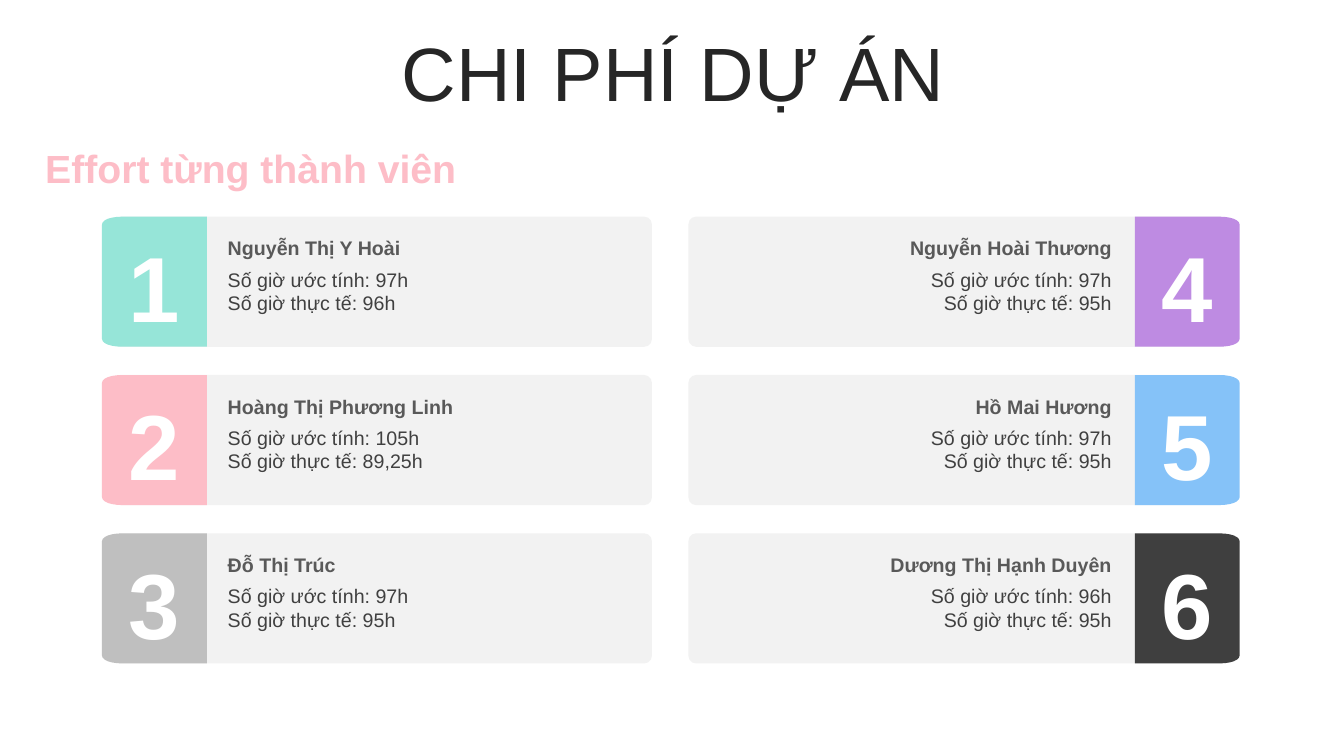
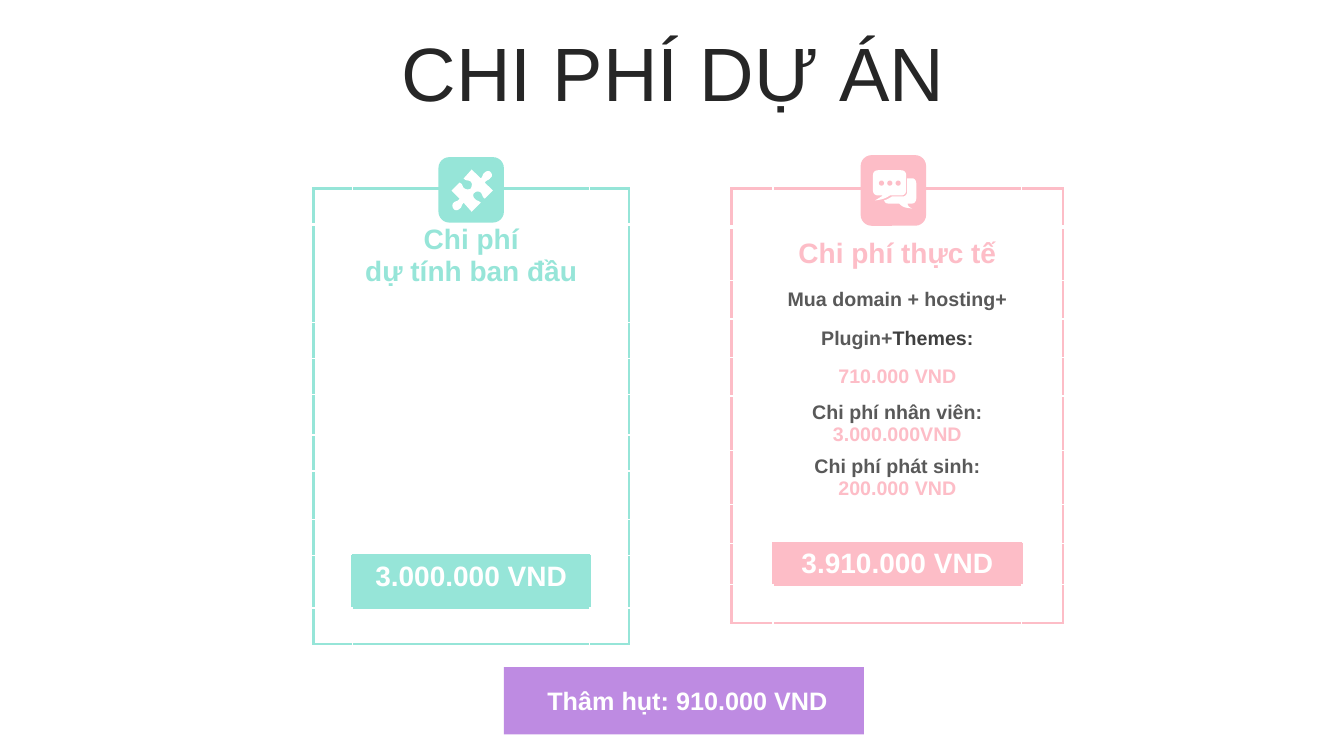
from dataclasses import dataclass

from lxml import etree
from pptx import Presentation
from pptx import util as u
from pptx.dml.color import RGBColor
from pptx.enum import shapes, text
from pptx.oxml.ns import qn
from pptx.shapes.autoshape import Shape
from pptx.slide import Slide
from pptx.table import _Cell
from pptx.text.text import TextFrame

# Shared style
FONT = "Arial"
WHITE, PANEL = "FFFFFF", "F2F2F2"
INK, GREY, DARK = "262626", "595959", "404040"
MINT, PINK, SILVER = "96E5D8", "FDBDC7", "BFBFBF"
PURPLE, BLUE, BLACK = "BE8BE2", "85C2F8", "3F3F3F"
LEFT, CENTER, RIGHT = text.PP_ALIGN.LEFT, text.PP_ALIGN.CENTER, text.PP_ALIGN.RIGHT
MIDDLE, TOP = text.MSO_ANCHOR.MIDDLE, text.MSO_ANCHOR.TOP
KIND = shapes.MSO_SHAPE

# Outlines, in hundredths of an inch from their top left corner
OUTLINE_UNIT = u.Cm(2.54) / 100
BADGE_WIDTH = 104
BADGE = "M 104 0 L 20 0 C 9 0 0 3 0 8 L 0 121 C 0 126 9 129 20 129 L 104 129"
PUZZLE = (
    "M 39 3 C 40 4 41 7 39 8 C 37 11 35 10 33 13 L 41 21 L 33 29 "
    "C 30 27 31 25 29 23 C 27 21 24 22 23 23 C 21 24 21 27 23 29 "
    "C 26 32 26 30 29 33 L 20 42 L 12 33 C 9 36 11 37 8 39 "
    "C 6 41 3 41 2 39 C 1 38 0 35 2 33 C 4 31 6 32 8 29 L 0 21 L 8 13 "
    "C 12 15 10 17 13 19 C 15 20 17 20 19 19 C 20 17 21 14 19 12 "
    "C 16 10 15 12 12 9 L 20 0 L 29 9 C 32 6 30 5 33 3 C 35 1 38 1 39 3"
)
BUBBLES = (
    "M 5 0 L 28 0 C 31 0 33 2 33 5 L 33 20 C 33 23 31 25 28 25 L 17 25 "
    "C 12 28 10 29 2 30 C 7 27 7 27 10 25 L 5 25 C 2 25 0 23 0 20 L 0 5 "
    "C 0 2 2 0 5 0 "
    "M 34 8 L 39 8 C 41 8 43 10 43 13 L 43 28 C 43 31 41 33 39 33 L 34 33 "
    "C 35 34 34 36 39 38 C 31 37 30 37 26 33 L 15 33 C 13 33 12 32 11 30 "
    "C 14 29 16 28 19 26 L 30 26 C 32 26 34 24 34 21"
)


@dataclass
class Line:
    text: str
    size: float
    color: str
    bold: bool = True
    tail: str = ""
    tail_color: str = ""
    after: float = 0


@dataclass
class Member:
    name: str
    planned: str
    actual: str
    color: str


@dataclass
class CostTable:
    left: float
    columns: list[float]
    rows: list[float]
    color: str
    lines: dict[int, list[Line]]
    heading_anchor: text.MSO_ANCHOR
    amount_bottom: float


MEMBERS = [
    Member("Nguyễn Thị Y Hoài", "97h", "96h", MINT),
    Member("Hoàng Thị Phương Linh", "105h", "89,25h", PINK),
    Member("Đỗ Thị Trúc", "97h", "95h", SILVER),
    Member("Nguyễn Hoài Thương", "97h", "95h", PURPLE),
    Member("Hồ Mai Hương", "97h", "95h", BLUE),
    Member("Dương Thị Hạnh Duyên", "96h", "95h", BLACK),
]

AMOUNT_ROW = 8
PLANNED_COST = CostTable(
    7.9, [0.99, 5.97, 0.99],
    [0.91, 2.46, 0.91, 0.91, 1.02, 0.91, 1.22, 0.91, 1.32, 0.91], MINT,
    {1: [Line("Chi phí", 20, MINT), Line("dự tính ban đầu", 20, MINT)],
     AMOUNT_ROW: [Line("3.000.000 VND", 20, WHITE)]},
    TOP, 0.25,
)
ACTUAL_COST = CostTable(
    18.44, [1.04, 6.27, 1.04],
    [0.97, 1.35, 0.97, 0.97, 0.97, 1.37, 1.37, 0.97, 1.04, 0.97], PINK,
    {1: [Line("Chi phí thực tế", 20, PINK)],
     2: [Line("Mua domain + hosting+", 14, GREY)],
     3: [Line("Plugin+", 14, GREY, tail="Themes:", tail_color=DARK)],
     4: [Line("710.000 VND", 14, PINK)],
     5: [Line("Chi phí nhân viên: ", 14, GREY, tail="3.000.000VND", tail_color=PINK)],
     6: [Line("Chi phí phát sinh: ", 14, GREY, tail="200.000 VND", tail_color=PINK)],
     AMOUNT_ROW: [Line("3.910.000 VND", 20, WHITE)]},
    MIDDLE, 0,
)


def rgb(value: str) -> RGBColor:
    return RGBColor.from_string(value)


def write(frame: TextFrame, lines: list[Line], align: text.PP_ALIGN) -> None:
    """Fill a text frame with one paragraph per line."""
    frame.word_wrap = True
    for index, line in enumerate(lines):
        para = frame.add_paragraph() if index else frame.paragraphs[0]
        para.alignment = align
        if line.after:
            para.space_after = u.Pt(line.after)
        para.font.name, para.font.size, para.font.bold = FONT, u.Pt(line.size), line.bold
        span = para.add_run()
        span.text = line.text
        if line.tail:
            span.font.color.rgb = rgb(line.color)
            span = para.add_run()
            span.text = line.tail
            span.font.color.rgb = rgb(line.tail_color)
        else:
            para.font.color.rgb = rgb(line.color)


def paint(shape: Shape, color: str) -> Shape:
    shape.shadow.inherit = False
    shape.fill.solid()
    shape.fill.fore_color.rgb = rgb(color)
    shape.line.fill.background()
    return shape


def add_block(page: Slide, kind: shapes.MSO_SHAPE, left: float, top: float,
              width: float, height: float, color: str) -> Shape:
    return paint(page.shapes.add_shape(
        kind, u.Cm(left), u.Cm(top), u.Cm(width), u.Cm(height)), color)


def add_box(page: Slide, left: float, top: float, width: float, height: float,
            lines: list[Line], align: text.PP_ALIGN = LEFT) -> None:
    box = page.shapes.add_textbox(u.Cm(left), u.Cm(top), u.Cm(width), u.Cm(height))
    write(box.text_frame, lines, align)


def trace(outline: str, steps: int = 6) -> list[list[tuple[float, float]]]:
    """Turn an outline of M, L and C commands into lists of points."""
    contours: list[list[tuple[float, float]]] = []
    tokens = iter(outline.split())
    for command in tokens:
        count = 3 if command == "C" else 1
        points = [(float(next(tokens)), float(next(tokens))) for _ in range(count)]
        if command == "M":
            contours.append(points)
        elif command == "L":
            contours[-1] += points
        else:
            curve = [contours[-1][-1], *points]
            for step in range(1, steps + 1):
                t = step / steps
                weights = ((1 - t) ** 3, 3 * t * (1 - t) ** 2, 3 * t * t * (1 - t), t ** 3)
                contours[-1].append((sum(w * p[0] for w, p in zip(weights, curve)),
                                     sum(w * p[1] for w, p in zip(weights, curve))))
    return contours


def add_outline(page: Slide, outline: str, left: float, top: float, color: str,
                mirror_width: float = 0) -> Shape:
    contours = [
        [(round(u.Cm(left) + OUTLINE_UNIT * (mirror_width - x if mirror_width else x)),
          round(u.Cm(top) + OUTLINE_UNIT * y)) for x, y in contour]
        for contour in trace(outline)
    ]
    builder = page.shapes.build_freeform(*contours[0][0])
    for index, contour in enumerate(contours):
        if index:
            builder.move_to(*contour[0])
        builder.add_line_segments(contour[1:], close=True)
    return paint(builder.convert_to_shape(), color)


def add_page(deck: Presentation) -> Slide:
    """Add a slide with the shared title."""
    page = deck.slides.add_slide(deck.slide_layouts[5])
    title = page.shapes.title
    title.left, title.top = u.Cm(0.89), u.Cm(0.94)
    title.width, title.height = u.Cm(32.16), u.Cm(2)
    write(title.text_frame, [Line("CHI PHÍ DỰ ÁN", 54, INK, False)], CENTER)
    title.text_frame.paragraphs[0].line_spacing = 0.9
    title.text_frame.auto_size = text.MSO_AUTO_SIZE.NONE
    title.text_frame.vertical_anchor = MIDDLE
    return page


def add_member(page: Slide, index: int, member: Member) -> None:
    column, row = divmod(index, 3)
    top = 5.46 + row * 3.99
    panel_left, badge_left, text_left = ((2.84, 2.57, 5.49), (17.35, 28.6, 19.25))[column]
    panel = add_block(page, KIND.ROUNDED_RECTANGLE, panel_left, top, 13.59, 3.28, PANEL)
    panel.adjustments[0] = 0.06
    badge = add_outline(page, BADGE, badge_left, top, member.color, BADGE_WIDTH * column)
    frame = badge.text_frame
    frame.margin_left = frame.margin_right = frame.margin_bottom = 0
    frame.margin_top = u.Cm(0.2)
    frame.vertical_anchor = MIDDLE
    write(frame, [Line(str(index + 1), 66, WHITE)], CENTER)
    add_box(page, text_left, top + 0.37, 9.02, 2.2, [
        Line(member.name, 14, GREY, after=5.5),
        Line(f"Số giờ ước tính: {member.planned}", 14, DARK, False),
        Line(f"Số giờ thực tế: {member.actual}", 14, DARK, False),
    ], RIGHT if column else LEFT)


def set_border(cell: _Cell, side: str, color: str, width: float) -> None:
    edge = etree.SubElement(cell._tc.get_or_add_tcPr(), qn(f"a:ln{side}"),
                            w=str(u.Pt(width)))
    fill = etree.SubElement(edge, qn("a:solidFill"))
    etree.SubElement(fill, qn("a:srgbClr"), val=color)


def add_cost_table(page: Slide, cost: CostTable) -> None:
    """Draw a framed column with a filled amount cell near its foot."""
    last = len(cost.rows) - 1
    table = page.shapes.add_table(
        len(cost.rows), 3, u.Cm(cost.left), u.Cm(4.75),
        u.Cm(sum(cost.columns)), u.Cm(sum(cost.rows))).table
    table.first_row = table.horz_banding = False
    for column, width in zip(table.columns, cost.columns):
        column.width = u.Cm(width)
    for r, height in enumerate(cost.rows):
        table.rows[r].height = u.Cm(height)
        for c in range(3):
            cell = table.cell(r, c)
            framed = {
                "L": c == 0 or r == AMOUNT_ROW,
                "R": c == 2 or r == AMOUNT_ROW,
                "T": r == 0 or (c == 1 and r in (AMOUNT_ROW, AMOUNT_ROW + 1)),
                "B": r == last or (c == 1 and r in (AMOUNT_ROW - 1, AMOUNT_ROW)),
            }
            for side, accent in framed.items():
                plain_width = 3 if r == 0 and side == "B" else 1
                set_border(cell, side, cost.color if accent else WHITE,
                           2.25 if accent else plain_width)
            is_amount = (r, c) == (AMOUNT_ROW, 1)
            cell.fill.solid()
            cell.fill.fore_color.rgb = rgb(cost.color if is_amount else WHITE)
            cell.margin_top = 0
            cell.margin_bottom = u.Cm(cost.amount_bottom if is_amount else 0)
            cell.vertical_anchor = cost.heading_anchor if r == 1 else MIDDLE
            if c == 1 and r in cost.lines:
                write(cell.text_frame, cost.lines[r], CENTER)


def build_effort(deck: Presentation) -> None:
    page = add_page(deck)
    add_box(page, 0.89, 3.51, 12.85, 1.45, [Line("Effort từng thành viên", 28, PINK)])
    for index, member in enumerate(MEMBERS):
        add_member(page, index, member)


def build_costs(deck: Presentation) -> None:
    page = add_page(deck)
    for cost in (PLANNED_COST, ACTUAL_COST):
        add_cost_table(page, cost)
    # Icons on the top edges
    add_block(page, KIND.ROUNDED_RECTANGLE, 11.05, 3.96, 1.65, 1.65, MINT)
    add_outline(page, PUZZLE, 11.38, 4.27, WHITE)
    add_block(page, KIND.ROUNDED_RECTANGLE, 21.69, 3.91, 1.65, 1.78, PINK)
    add_outline(page, BUBBLES, 22, 4.29, WHITE)
    for dot in range(3):
        add_block(page, KIND.OVAL, 22.15 + dot * 0.21, 4.55, 0.13, 0.13, PINK)
    # Shortfall bar
    bar = add_block(page, KIND.RECTANGLE, 12.7, 16.81, 9.07, 1.7, PURPLE)
    bar.text_frame.margin_left = u.Cm(0.43)
    bar.text_frame.vertical_anchor = MIDDLE
    write(bar.text_frame, [Line("Thâm hụt: 910.000 VND", 18, WHITE)], CENTER)


def main() -> None:
    deck = Presentation()
    deck.slide_width, deck.slide_height = u.Cm(33.87), u.Cm(19.05)
    build_effort(deck)
    build_costs(deck)
    deck.save("out.pptx")


if __name__ == "__main__":
    main()
